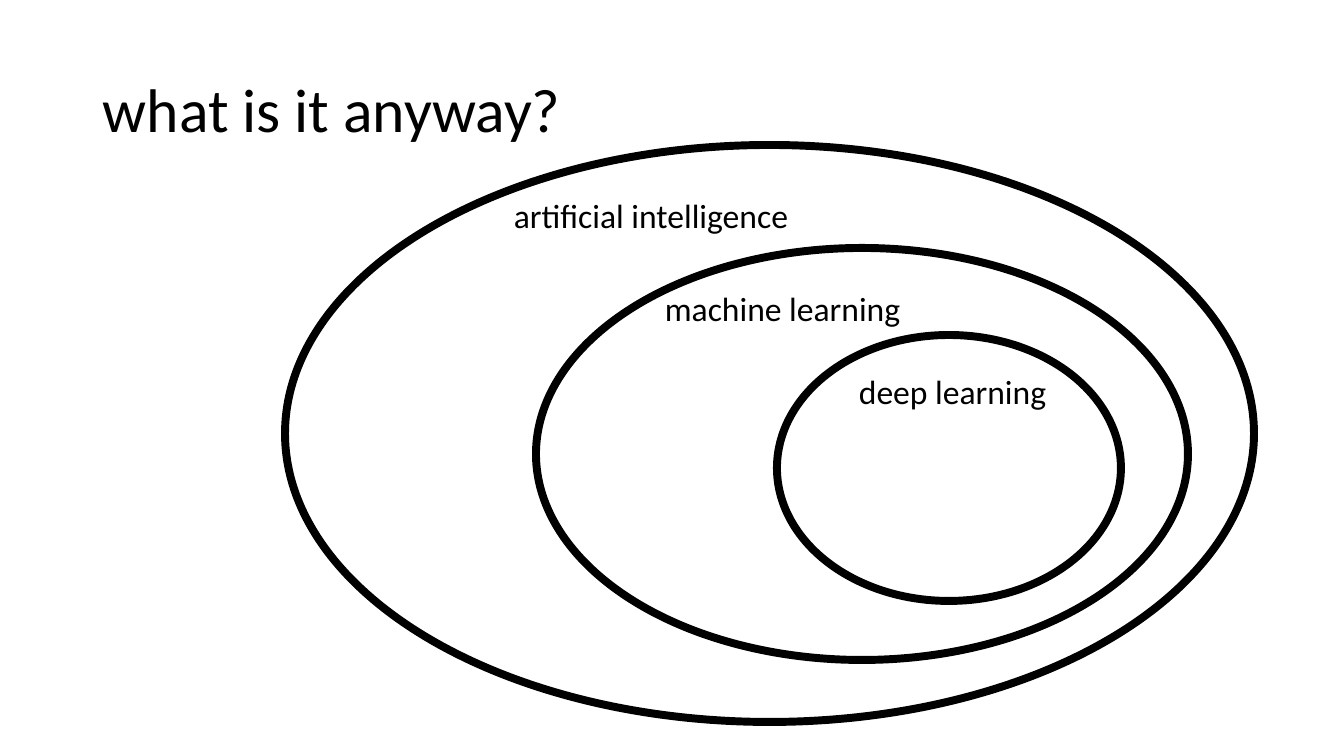
"""Build a slide of nested ellipses: AI contains machine learning contains deep learning."""
from pptx import Presentation
from pptx.dml.color import RGBColor
from pptx.enum.shapes import MSO_SHAPE
from pptx.enum.text import MSO_ANCHOR
from pptx.util import Pt

OVAL = MSO_SHAPE.OVAL
MIDDLE = MSO_ANCHOR.MIDDLE

SLIDE_SIZE = (1344, 756)
COLORS = {"ink": "000000"}
FONT = "Calibri"
TITLE = ("what is it anyway?", (93, 40, 1159, 146))
FIELDS = [
    ("artificial intelligence", (285, 145, 969, 577), (504, 190, 301, 50)),
    ("machine learning", (536, 248, 652, 412), (655, 283, 264, 50)),
    ("deep learning", (777, 335, 344, 266), (849, 366, 208, 50)),
]


def emu(px):
    return round(px * 914400 / 100.8)


def add_text(slide, words, box, size):
    frame = slide.shapes.add_textbox(*map(emu, box)).text_frame
    frame.word_wrap = True
    frame.text = words
    font = frame.paragraphs[0].runs[0].font
    font.name = FONT
    font.size = Pt(size)
    font.color.rgb = RGBColor.from_string(COLORS["ink"])
    return frame


def add_ring(slide, box):
    ring = slide.shapes.add_shape(OVAL, *map(emu, box))
    ring.shadow.inherit = False
    ring.fill.background()
    ring.line.color.rgb = RGBColor.from_string(COLORS["ink"])
    ring.line.width = Pt(5.67)


def main():
    deck = Presentation()
    deck.slide_width, deck.slide_height = map(emu, SLIDE_SIZE)
    slide = deck.slides.add_slide(deck.slide_layouts[6])
    for field, ring_box, label_box in FIELDS:
        add_ring(slide, ring_box)
        add_text(slide, field, label_box, 24)
    heading = add_text(slide, *TITLE, 44)
    heading.vertical_anchor = MIDDLE
    heading.paragraphs[0].line_spacing = 0.9
    deck.save("out.pptx")


if __name__ == "__main__":
    main()
